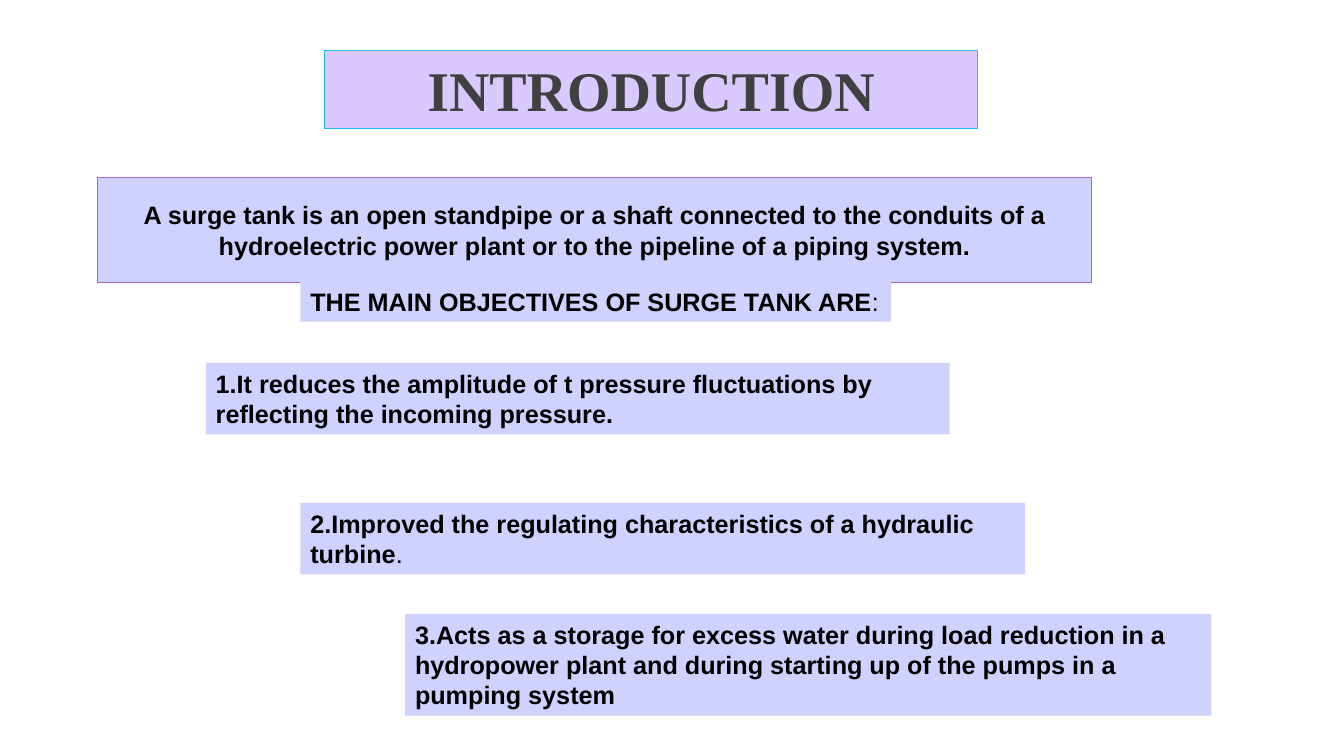
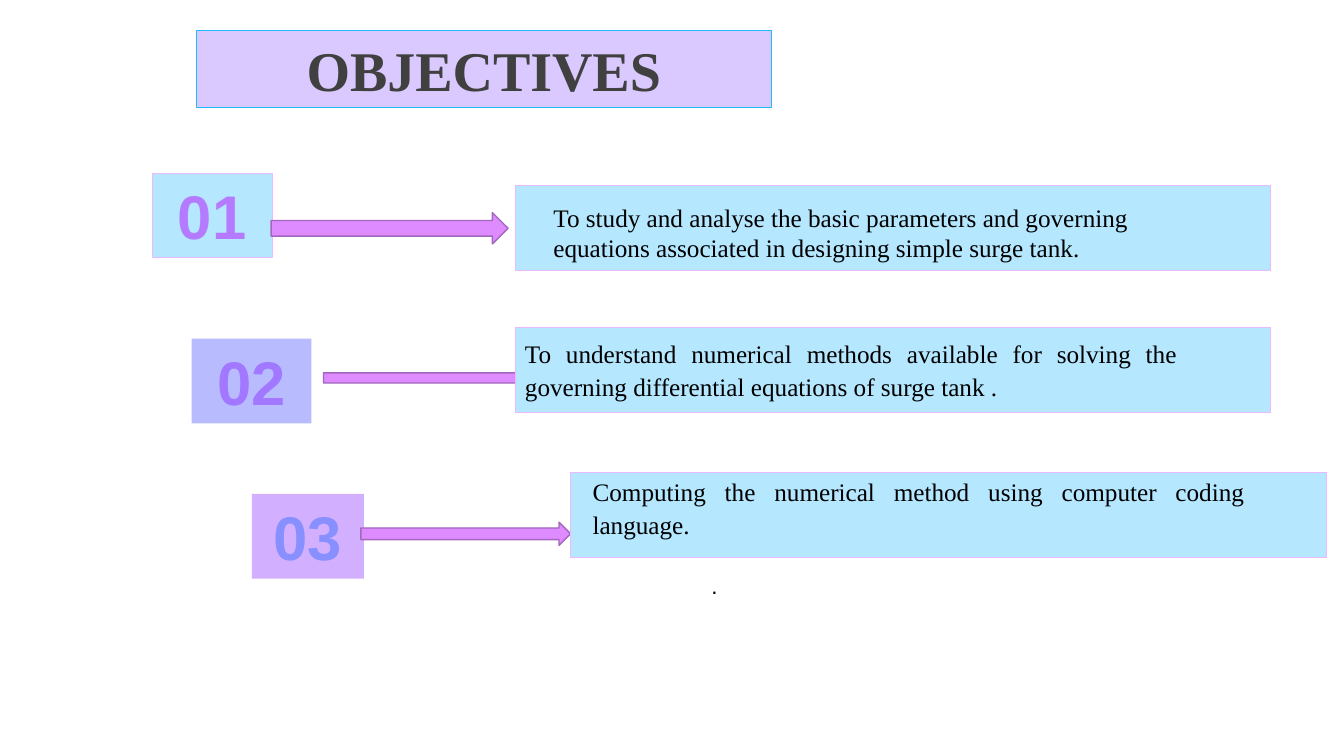
from dataclasses import dataclass

from pptx import Presentation
from pptx.dml.color import RGBColor
from pptx.enum.shapes import MSO_SHAPE as Preset
from pptx.enum.text import MSO_ANCHOR as Anchor, MSO_AUTO_SIZE as AutoSize, PP_ALIGN as Align
from pptx.util import Pt


@dataclass(frozen=True)
class Theme:
    sans: str = "Arial"
    serif: str = "Times New Roman"
    title_size: float = 40
    number_size: float = 44
    body_size: float = 18
    small_size: float = 16
    ink: str = "000000"
    title_ink: str = "404040"
    title_fill: str = "D9C9FF"
    title_line: str = "22B8FF"
    note_fill: str = "CFD2FF"
    panel_fill: str = "B5E7FF"
    panel_line: str = "EBB9FF"
    arrow_fill: str = "DD8BFF"
    arrow_line: str = "A367BD"
    thin: float = 0.75
    medium: float = 1


@dataclass(frozen=True)
class Box:
    left: float
    top: float
    width: float
    height: float

    def inner(self, dx, dy, width, height):
        return Box(self.left + dx, self.top + dy, width, height)

    def lengths(self):
        return Pt(self.left), Pt(self.top), Pt(self.width), Pt(self.height)


@dataclass(frozen=True)
class Step:
    number: str
    number_color: str
    badge_fill: str
    badge_line: str | None
    row: Box
    badge_width: float
    arrow: tuple
    panel: tuple
    text: str
    text_left: float
    text_top: float
    justified: bool


THEME = Theme()
SLIDE = Box(0, 0, 960, 540)
TITLE_HEIGHT = 55.5
ROW_HEIGHT = 60.5
PANEL_WIDTH = 540
PANEL_TEXT_WIDTH = 465.8
INSETS = (7.2, 3.6, 7.2, 3.6)

OBJECTIVES = [
    ((147, 259.2, 531.4, 51.1),
     [("1.It reduces the amplitude of t pressure fluctuations by reflecting the incoming pressure.", True)]),
    ((214.6, 359.2, 517.7, 51.1),
     [("2.Improved the regulating characteristics of a hydraulic turbine", True), (".", False)]),
    ((289.4, 438.5, 576, 72.7),
     [("3.Acts as a storage for excess water during load reduction in a hydropower plant "
       "and during starting up of the pumps in a pumping system", True)]),
]

STEPS = [
    Step("01", "B57BFF", "B5E7FF", THEME.panel_line, Box(108.7, 123.8, 799.2, 69.2), 85.7,
         (85, 28.1, 169.2, 22.3), (259.2, 8.7),
         "To study and analyse the basic parameters and governing equations "
         "associated in designing simple surge tank.", 27.4, 12.2, False),
    Step("02", "A178FF", "B8BCFF", None, Box(136.8, 241.9, 771.1, ROW_HEIGHT), 85.7,
         (94.3, 20.9, 158.4, 14.4), (231.1, -7.9),
         "To understand numerical methods available for solving the governing "
         "differential equations of surge tank .", 7.2, 5.8, True),
    Step("03", "888FFF", "D3B0FF", None, Box(180, 352.8, 767.5, ROW_HEIGHT), 79.9,
         (77.8, 20.2, 149.8, 16.6), (227.5, -15.1),
         "Computing the numerical method using computer coding language.", 15.8, 0.7, True),
]


def paint(shape, fill, line=None, weight=THEME.thin):
    shape.fill.solid()
    shape.fill.fore_color.rgb = RGBColor.from_string(fill)
    if line:
        shape.line.color.rgb = RGBColor.from_string(line)
        shape.line.width = Pt(weight)
    else:
        shape.line.fill.background()


def add_block(slide, box, fill, line=None, weight=THEME.thin, preset=Preset.RECTANGLE):
    block = slide.shapes.add_shape(preset, *box.lengths())
    block.shadow.inherit = False
    paint(block, fill, line, weight)
    return block


def write(shape, runs, size, font, color=THEME.ink, align=Align.LEFT, anchor=Anchor.TOP, insets=INSETS):
    frame = shape.text_frame
    frame.word_wrap = True
    frame.auto_size = AutoSize.NONE
    frame.vertical_anchor = anchor
    frame.margin_left, frame.margin_top, frame.margin_right, frame.margin_bottom = map(Pt, insets)
    paragraph = frame.paragraphs[0]
    paragraph.alignment = align
    for text, bold in runs:
        run = paragraph.add_run()
        run.text = text
        run.font.size = Pt(size)
        run.font.name = font
        run.font.bold = bold
        run.font.color.rgb = RGBColor.from_string(color)
    return paragraph


def add_titled_slide(deck, text, box):
    slide = deck.slides.add_slide(deck.slide_layouts[5])
    title = slide.shapes.title
    title.left, title.top, title.width, title.height = box.lengths()
    paint(title, THEME.title_fill, THEME.title_line)
    write(title, [(text, True)], THEME.title_size, THEME.serif, THEME.title_ink, Align.CENTER, Anchor.MIDDLE)
    return slide


def add_note(slide, box, runs):
    write(add_block(slide, box, THEME.note_fill), runs, THEME.body_size, THEME.sans)


def add_definition(slide, box, text):
    definition = add_block(slide, box, THEME.note_fill, THEME.arrow_line, THEME.medium)
    write(definition, [(text, True)], THEME.body_size, THEME.sans, align=Align.CENTER, anchor=Anchor.MIDDLE)


def add_step(slide, step):
    row = step.row
    badge = add_block(slide, row.inner(0, 0, step.badge_width, ROW_HEIGHT), step.badge_fill, step.badge_line)
    write(badge, [(step.number, True)], THEME.number_size, THEME.sans, step.number_color,
          Align.CENTER, insets=(8.6, 3.6, 8.6, 3.6))
    add_block(slide, row.inner(*step.arrow), THEME.arrow_fill, THEME.arrow_line, THEME.medium, Preset.RIGHT_ARROW)
    panel = add_block(slide, row.inner(*step.panel, PANEL_WIDTH, ROW_HEIGHT), THEME.panel_fill, THEME.panel_line)
    text_right = PANEL_WIDTH - PANEL_TEXT_WIDTH - step.text_left
    paragraph = write(panel, [(step.text, False)], THEME.body_size, THEME.serif,
                      align=Align.JUSTIFY if step.justified else Align.LEFT,
                      insets=(step.text_left, step.text_top, text_right, 0))
    if step.justified:
        paragraph.line_spacing = 1.09


def build_introduction(deck, area):
    slide = add_titled_slide(deck, "INTRODUCTION", area.inner(231.8, 36, 466.6, TITLE_HEIGHT))
    add_definition(slide, area.inner(69.8, 126.7, 710, 75),
                   "A surge tank is an open standpipe or a shaft connected to the conduits of a "
                   "hydroelectric power plant or to the pipeline of a piping system.")
    add_note(slide, area.inner(214.6, 201, 422, 28.8),
             [("THE MAIN OBJECTIVES OF SURGE TANK ARE", True), (":", False)])
    for place, runs in OBJECTIVES:
        add_note(slide, area.inner(*place), runs)


def build_objectives(deck, area):
    slide = add_titled_slide(deck, "OBJECTIVES", area.inner(140.4, 21.6, 410.4, TITLE_HEIGHT))
    for step in STEPS:
        add_step(slide, step)
    full_stop = slide.shapes.add_textbox(*area.inner(501, 405.4, 440, 26.6).lengths())
    write(full_stop, [(".", False)], THEME.small_size, THEME.sans)


def main():
    deck = Presentation()
    deck.slide_width, deck.slide_height = Pt(SLIDE.width), Pt(SLIDE.height)
    build_introduction(deck, SLIDE)
    build_objectives(deck, SLIDE)
    deck.save("out.pptx")


if __name__ == "__main__":
    main()
